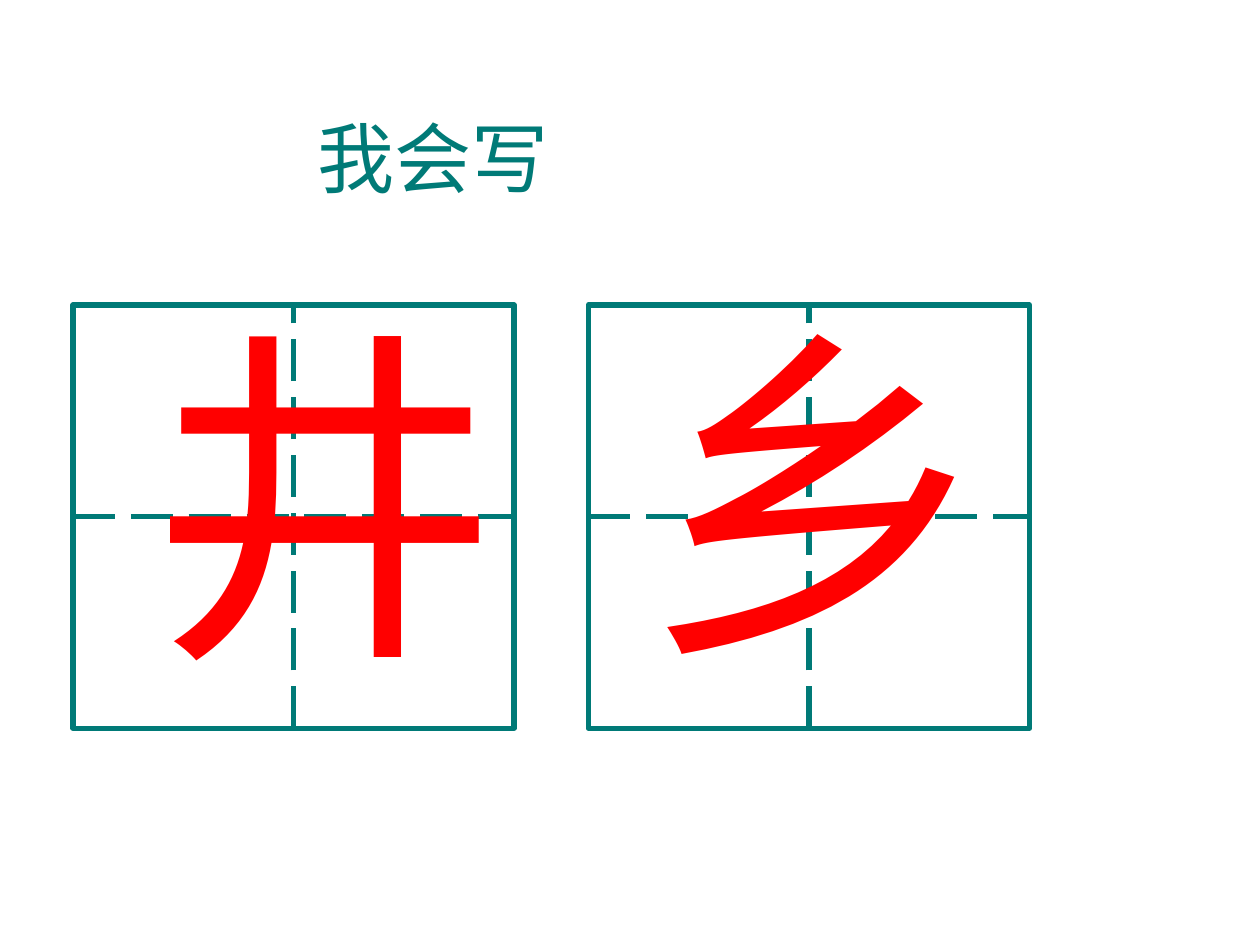
from dataclasses import dataclass

from lxml.etree import SubElement
from pptx import Presentation
from pptx.dml.color import RGBColor
from pptx.enum.dml import MSO_LINE_DASH_STYLE as Dash
from pptx.enum.shapes import MSO_CONNECTOR as Connector, MSO_SHAPE as Shape
from pptx.enum.text import MSO_ANCHOR as Anchor, MSO_AUTO_SIZE as AutoSize, PP_ALIGN as Align
from pptx.oxml.ns import qn
from pptx.util import Inches, Pt

COLORS = {"teal": "007A77", "red": "FF0000"}
FONT = "Times New Roman"
GRID_TOP, GRID_WIDTH, GRID_HEIGHT = 2.42, 3.5, 3.36
LINE_WIDTH = 3
# Rectangle sides joined by each guide line
GUIDES = ((1, 3), (2, 0))


@dataclass
class PracticeCell:
    character: str
    grid_left: float
    text_left: float
    text_top: float
    text_width: float


CELLS = (
    PracticeCell("井", 0.58, 1.09, 2.17, 2.98),
    PracticeCell("乡", 4.67, 5, 2.15, 3.08),
)


def style_line(line) -> None:
    line.color.rgb = RGBColor.from_string(COLORS["teal"])
    line.width = Pt(LINE_WIDTH)


def write_text(shape, text: str, size: int, color: str) -> None:
    frame = shape.text_frame
    frame.word_wrap = True
    frame.auto_size = AutoSize.NONE
    frame.vertical_anchor = Anchor.TOP
    paragraph = frame.paragraphs[0]
    paragraph.text = text
    paragraph.alignment = Align.LEFT
    font = paragraph.font
    font.name, font.size = FONT, Pt(size)
    font.color.rgb = RGBColor.from_string(COLORS[color])


def draw_grid(slide, left: float) -> None:
    group = slide.shapes.add_group_shape()
    square = group.shapes.add_shape(
        Shape.RECTANGLE, Inches(left), Inches(GRID_TOP), Inches(GRID_WIDTH), Inches(GRID_HEIGHT)
    )
    square.shadow.inherit = False
    square.fill.background()
    style_line(square.line)

    # Dashed guides through the middle
    for begin_side, end_side in GUIDES:
        guide = group.shapes.add_connector(
            Connector.STRAIGHT, square.left, square.top, square.left, square.top
        )
        guide.begin_connect(square, begin_side)
        guide.end_connect(square, end_side)
        style_line(guide.line)
        guide.line.dash_style = Dash.LONG_DASH
        SubElement(guide._element.spPr, qn("a:effectLst"))


def draw_cell(slide, cell: PracticeCell) -> None:
    draw_grid(slide, cell.grid_left)
    box = slide.shapes.add_textbox(
        Inches(cell.text_left), Inches(cell.text_top), Inches(cell.text_width), Inches(3.44)
    )
    write_text(box, cell.character, 200, "red")


def main() -> None:
    presentation = Presentation()
    presentation.slide_width, presentation.slide_height = Inches(10), Inches(7.5)
    slide = presentation.slides.add_slide(presentation.slide_layouts[5])

    # Title
    title = slide.shapes.title
    title.left, title.top = Inches(2.42), Inches(0.83)
    title.width, title.height = Inches(2.5), Inches(0.84)
    write_text(title, "我会写", 44, "teal")

    # Writing practice cells
    for cell in CELLS:
        draw_cell(slide, cell)

    presentation.save("out.pptx")


if __name__ == "__main__":
    main()
